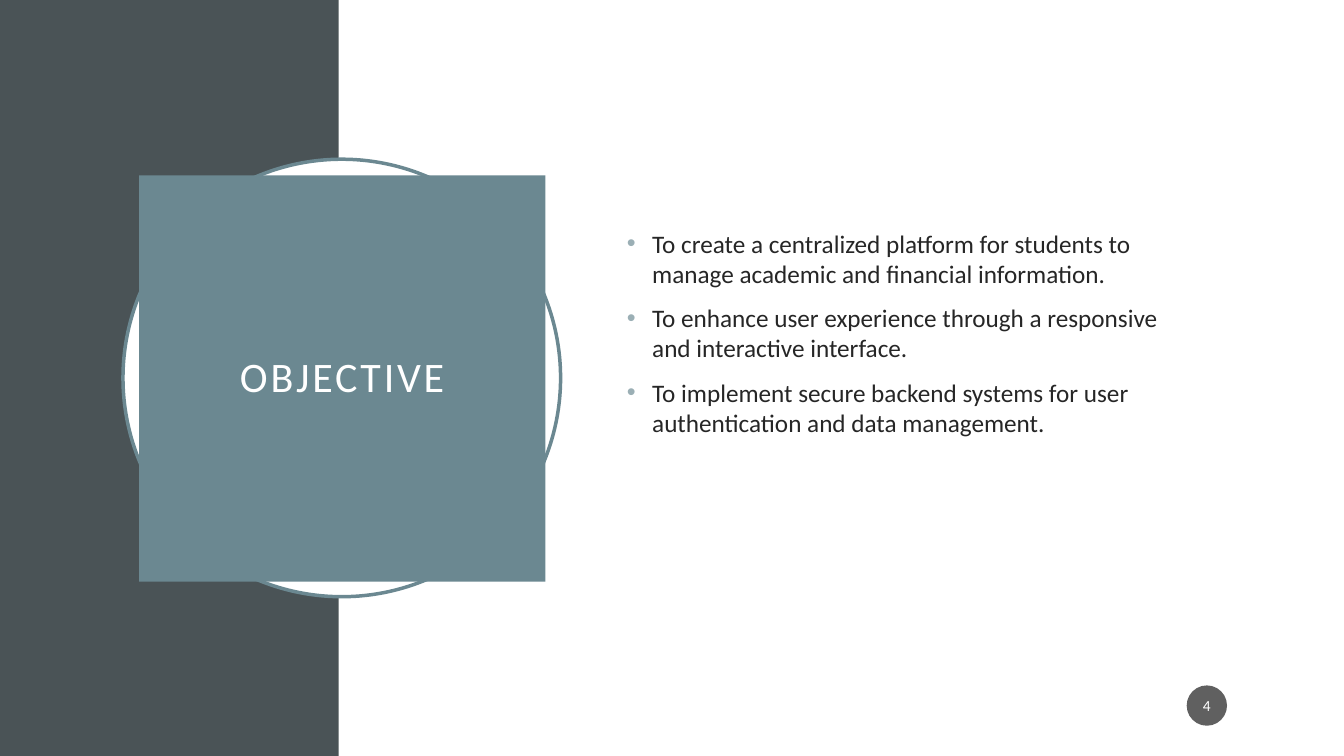
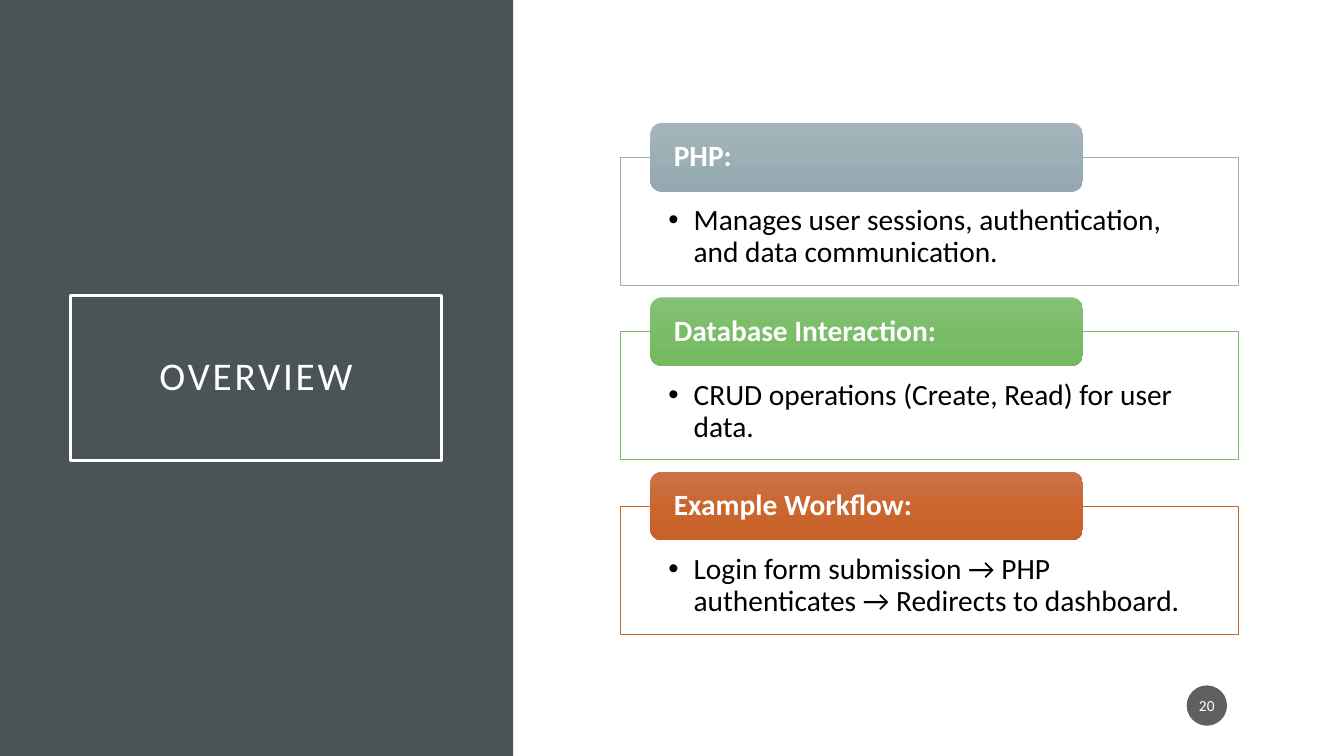
from dataclasses import dataclass

from lxml import etree
from pptx import Presentation
from pptx.dml.color import RGBColor
from pptx.enum.shapes import MSO_SHAPE
from pptx.enum.text import MSO_ANCHOR, MSO_AUTO_SIZE, PP_ALIGN
from pptx.oxml.ns import qn
from pptx.shapes.base import BaseShape
from pptx.slide import Slide
from pptx.text.text import TextFrame, _Paragraph as Paragraph
from pptx.util import Inches, Pt

RECTANGLE = MSO_SHAPE.RECTANGLE
ROUNDED = MSO_SHAPE.ROUNDED_RECTANGLE
OVAL = MSO_SHAPE.OVAL
TOP, MIDDLE = MSO_ANCHOR.TOP, MSO_ANCHOR.MIDDLE
LEFT, CENTER = PP_ALIGN.LEFT, PP_ALIGN.CENTER
TITLE_ONLY = 5


@dataclass(frozen=True)
class Theme:
    font: str = "Calibri"
    panel: str = "4A5356"
    accent: str = "6B8891"
    bullet: str = "9BAFB5"
    white: str = "FFFFFF"
    black: str = "000000"
    body: str = "262626"
    badge: str = "1D1D1D"
    body_size: float = 18
    card_size: float = 21
    badge_size: float = 11
    outline: float = 2.5
    hairline: float = 0.5


@dataclass(frozen=True)
class Box:
    left: float
    top: float
    width: float
    height: float

    def lengths(self) -> tuple[int, int, int, int]:
        return (Inches(self.left), Inches(self.top),
                Inches(self.width), Inches(self.height))


@dataclass(frozen=True)
class Card:
    heading: str
    detail: str
    line: str
    gradient: tuple[str, str, str]


THEME = Theme()
OBJECTIVES = (
    "To create a centralized platform for students to manage academic and financial information.",
    "To enhance user experience through a responsive and interactive interface.",
    "To implement secure backend systems for user authentication and data management.",
)
CARDS = (
    Card("PHP:", "Manages user sessions, authentication, and data communication.",
         "9BAFB5", ("A3B5BB", "9BAFB5", "93A9AF")),
    Card("Database Interaction:", "CRUD operations (Create, Read) for user data.",
         "7ABC69", ("85C076", "7ABD68", "73B960")),
    Card("Example Workflow:", "Login form submission → PHP authenticates → Redirects to dashboard.",
         "C96731", ("CC734B", "CB662F", "C86128")),
)
CARD_TOP, CARD_PITCH = 1.56, 1.73
HEADING_RISE = 0.34


def rgb(color: str) -> RGBColor:
    return RGBColor.from_string(color)


def paint(shape: BaseShape, fill: str | None, line: str | None, width: float) -> None:
    if fill:
        shape.fill.solid()
        shape.fill.fore_color.rgb = rgb(fill)
    else:
        shape.fill.background()
    if line:
        shape.line.color.rgb = rgb(line)
        shape.line.width = Pt(width)
    else:
        shape.line.fill.background()


def add_shape(slide: Slide, kind: MSO_SHAPE, box: Box, fill: str | None = None,
              line: str | None = None, width: float = THEME.outline) -> BaseShape:
    shape = slide.shapes.add_shape(kind, *box.lengths())
    shape.shadow.inherit = False
    paint(shape, fill, line, width)
    return shape


def set_opacity(shape: BaseShape, percent: int) -> None:
    color = shape.element.spPr.find(qn("a:solidFill"))[0]
    etree.SubElement(color, qn("a:alpha"), val=str(percent * 1000))


def set_gradient(shape: BaseShape, colors: tuple[str, ...]) -> None:
    """Fill from top to bottom with evenly spaced stops."""
    shape.fill.gradient()
    shape.fill.gradient_angle = 270
    stops = shape.element.spPr.find(f".//{qn('a:gsLst')}")
    for stop in list(stops):
        stops.remove(stop)
    for index, color in enumerate(colors):
        position = index * 100000 // (len(colors) - 1)
        stop = etree.SubElement(stops, qn("a:gs"), pos=str(position))
        etree.SubElement(stop, qn("a:srgbClr"), val=color)


def set_frame(frame: TextFrame, anchor: MSO_ANCHOR,
              insets: tuple[float, float, float, float]) -> None:
    """Insets run left, top, right, bottom."""
    frame.word_wrap = True
    frame.auto_size = MSO_AUTO_SIZE.NONE
    frame.vertical_anchor = anchor
    (frame.margin_left, frame.margin_top,
     frame.margin_right, frame.margin_bottom) = map(Inches, insets)


def write(paragraph: Paragraph, text: str, size: float, color: str,
          align: PP_ALIGN = LEFT, bold: bool = False, spacing: float = 1.0) -> None:
    paragraph.text = text
    paragraph.alignment = align
    paragraph.line_spacing = spacing
    font = paragraph.font
    font.name, font.size, font.bold = THEME.font, Pt(size), bold
    font.color.rgb = rgb(color)


def add_bullet(paragraph: Paragraph, color: str) -> None:
    properties = paragraph._p.get_or_add_pPr()
    properties.set("marL", str(Inches(0.25)))
    properties.set("indent", str(-Inches(0.25)))
    bullet_color = etree.Element(qn("a:buClr"))
    etree.SubElement(bullet_color, qn("a:srgbClr"), val=color)
    bullet_font = etree.Element(qn("a:buFont"), typeface="Arial")
    bullet = etree.Element(qn("a:buChar"), char="•")
    # Bullet elements must stand between the spacing and the default font.
    default_font = properties.find(qn("a:defRPr"))
    for element in (bullet_color, bullet_font, bullet):
        default_font.addprevious(element)


def place_title(slide: Slide, text: str, box: Box, size: float,
                fill: str | None = None, line: str | None = None) -> None:
    title = slide.shapes.title
    title.left, title.top, title.width, title.height = box.lengths()
    paint(title, fill, line, THEME.outline)
    set_frame(title.text_frame, MIDDLE, (0.2, 0.2, 0.2, 0.2))
    paragraph = title.text_frame.paragraphs[0]
    write(paragraph, text, size, THEME.white, CENTER, spacing=0.9)
    paragraph.runs[0]._r.get_or_add_rPr().set("spc", "200")
    title.element.getparent().append(title.element)  # bring to front


def add_page_number(slide: Slide, number: int) -> None:
    badge = add_shape(slide, OVAL, Box(11.77, 6.8, 0.4, 0.4), THEME.badge)
    set_opacity(badge, 70)
    set_frame(badge.text_frame, MIDDLE, (0.02, 0.05, 0.02, 0.05))
    write(badge.text_frame.paragraphs[0], str(number), THEME.badge_size, THEME.white, CENTER)


def start_slide(presentation: Presentation, panel_width: float, number: int) -> Slide:
    slide = presentation.slides.add_slide(presentation.slide_layouts[TITLE_ONLY])
    add_shape(slide, RECTANGLE, Box(0, 0, panel_width, 7.5), THEME.panel)
    add_page_number(slide, number)
    return slide


def add_card(slide: Slide, card: Card, top: float) -> None:
    detail = add_shape(slide, RECTANGLE, Box(6.15, top, 6.13, 1.27),
                       THEME.white, card.line, THEME.hairline)
    set_frame(detail.text_frame, TOP, (0.48, 0.48, 0.48, 0.16))
    paragraph = detail.text_frame.paragraphs[0]
    write(paragraph, card.detail, THEME.card_size, THEME.black, spacing=0.9)
    add_bullet(paragraph, THEME.black)

    heading = add_shape(slide, ROUNDED, Box(6.45, top - HEADING_RISE, 4.29, 0.68))
    set_gradient(heading, card.gradient)
    set_frame(heading.text_frame, MIDDLE, (0.2, 0, 0.2, 0))
    write(heading.text_frame.paragraphs[0], card.heading, THEME.card_size,
          THEME.white, bold=True, spacing=0.9)


def build_objective(presentation: Presentation) -> None:
    slide = start_slide(presentation, 3.36, 4)
    add_shape(slide, OVAL, Box(1.22, 1.58, 4.34, 4.34), THEME.white, THEME.accent)
    place_title(slide, "OBJECTIVE", Box(1.38, 1.74, 4.03, 4.03), 30, fill=THEME.accent)
    frame = slide.shapes.add_textbox(*Box(6.12, 1.53, 5.82, 3.54).lengths()).text_frame
    set_frame(frame, MIDDLE, (0.1, 0.05, 0.1, 0.05))
    for index, objective in enumerate(OBJECTIVES):
        paragraph = frame.add_paragraph() if index else frame.paragraphs[0]
        write(paragraph, objective, THEME.body_size, THEME.body)
        paragraph.space_before = Pt(10)
        add_bullet(paragraph, THEME.bullet)


def build_overview(presentation: Presentation) -> None:
    slide = start_slide(presentation, 5.09, 20)
    place_title(slide, "OVERVIEW", Box(0.7, 2.93, 3.68, 1.64), 28, line=THEME.white)
    for index, card in enumerate(CARDS):
        add_card(slide, card, CARD_TOP + index * CARD_PITCH)


def main() -> None:
    presentation = Presentation()
    presentation.slide_width = Inches(13.33)
    presentation.slide_height = Inches(7.5)
    build_objective(presentation)
    build_overview(presentation)
    presentation.save("out.pptx")


if __name__ == "__main__":
    main()
